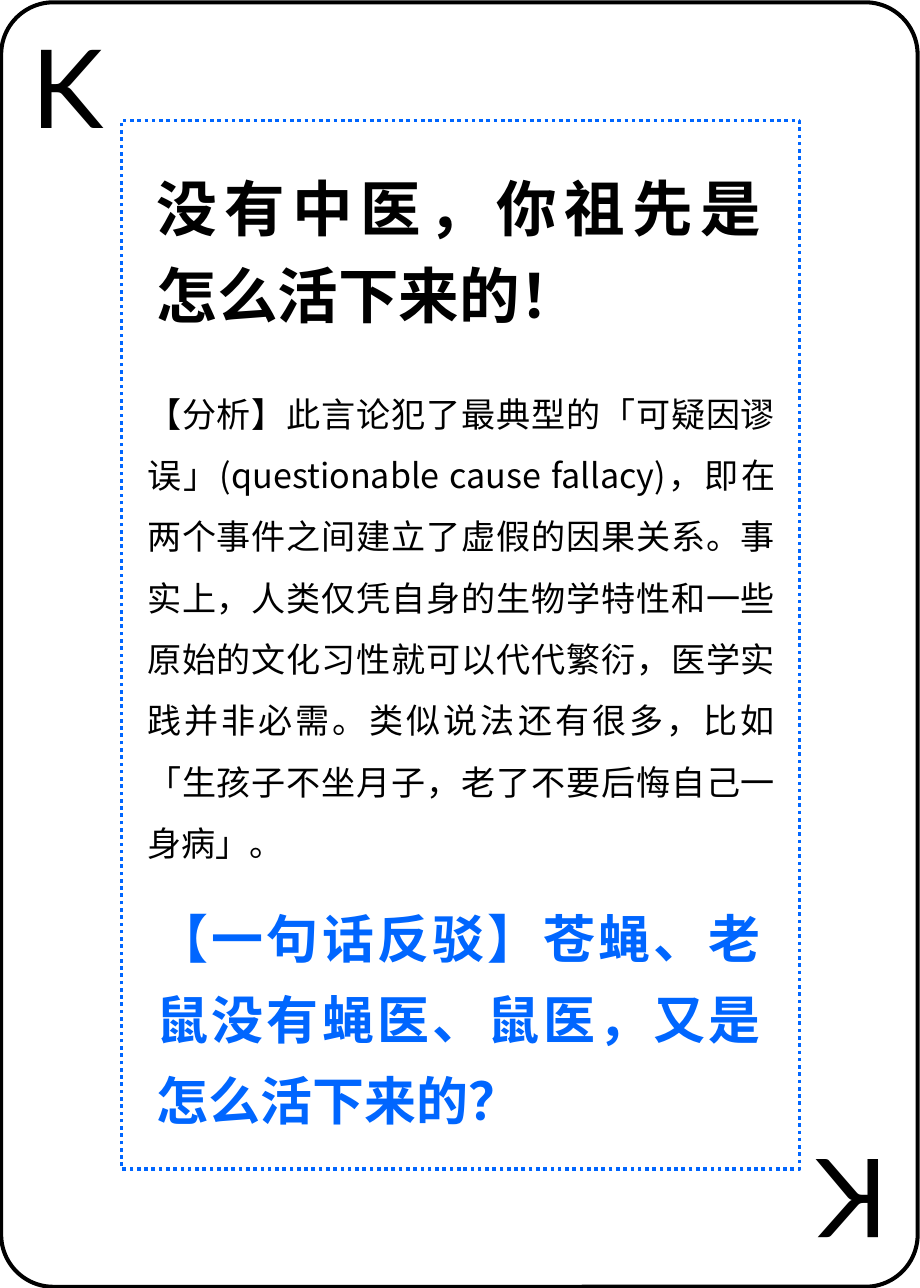
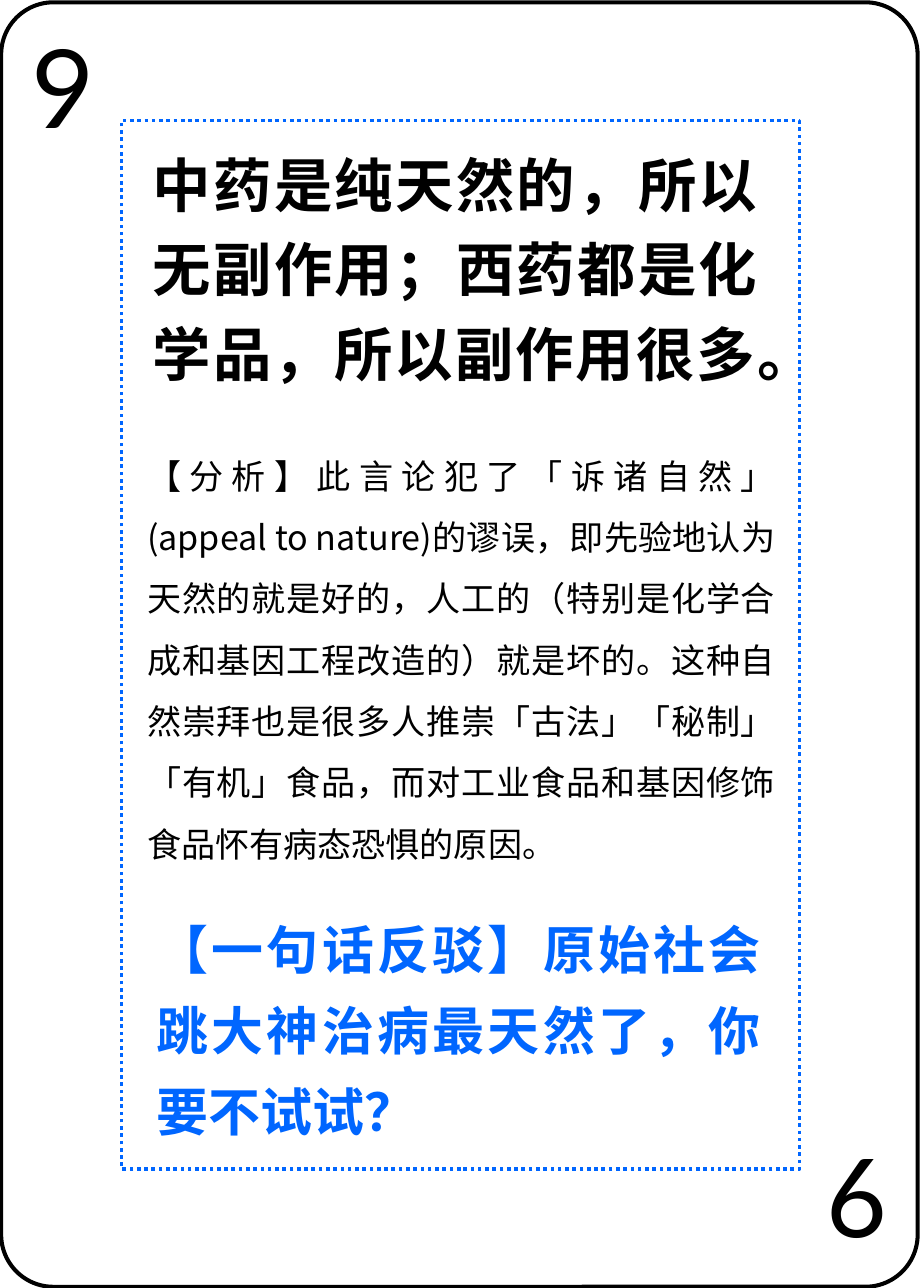
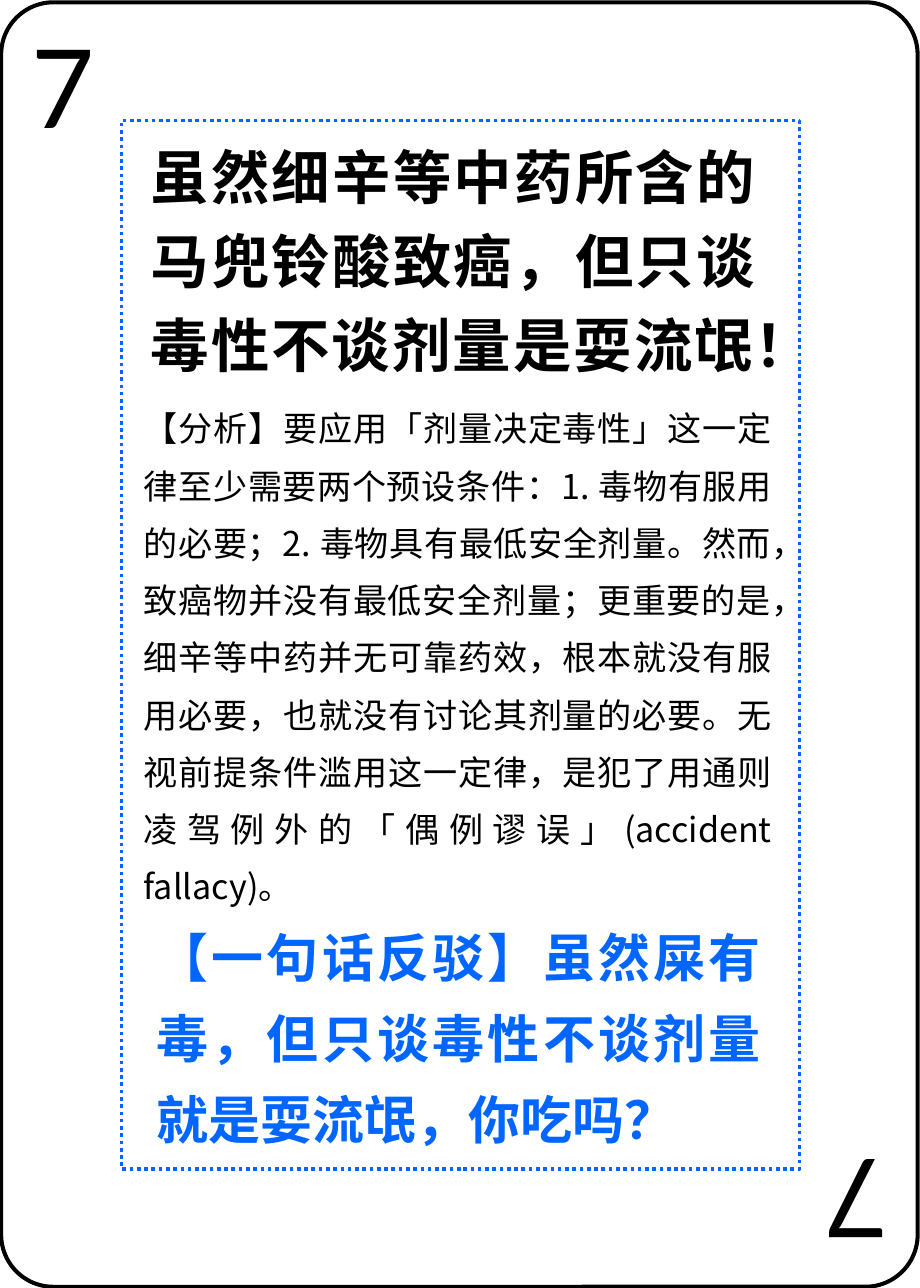
"""Build three playing cards, each rebutting one claim about traditional medicine."""
import dataclasses

import lxml.etree
import pptx
import pptx.dml.color
import pptx.enum.dml
import pptx.enum.shapes
import pptx.enum.text
import pptx.oxml.ns
import pptx.util


@dataclasses.dataclass(frozen=True)
class Theme:
    ink: str = "000000"
    accent: str = "0066FF"
    rank_font: str = "Lato"
    text_font: str = "Noto Sans CJK SC"
    rank_size: float = 67.2
    title_size: float = 36
    body_size: float = 21
    rebuttal_size: float = 32
    card_line: float = 2.5
    frame_line: float = 2.25


THEME = Theme()
WIDTH, HEIGHT = 7.87, 11.02
GRID = 100
RANK_BOX = (2.16, 1.09, 9.66, 11.16)
FRAME_BOX = (13.21, 9.35, 73.7, 81.4)
CARD_BOX = (0.13, 0.18, 99.62, 99.73)
TITLE_COLS, BODY_COLS = 68.23, 70.78
REBUTTAL_COL, REBUTTAL_ROWS = 15.76, 19.33
CORNER = 0.057

CARDS = [
    dict(
        rank="K",
        title="没有中医，你祖先是怎么活下来的！",
        title_box=(15.76, 11.71, TITLE_COLS, 14.07),
        title_size=37.3,
        body="【分析】此言论犯了最典型的「可疑因谬误」(questionable cause fallacy)，"
             "即在两个事件之间建立了虚假的因果关系。事实上，人类仅凭自身的生物学特性"
             "和一些原始的文化习性就可以代代繁衍，医学实践并非必需。类似说法还有很多，"
             "比如「生孩子不坐月子，老了不要后悔自己一身病」。",
        body_box=(14.74, 28.49, BODY_COLS, 38.84),
        rebuttal="【一句话反驳】苍蝇、老鼠没有蝇医、鼠医，又是怎么活下来的？",
        rebuttal_row=68.51,
    ),
    dict(
        rank="9",
        title="中药是纯天然的，所以无副作用；西药都是化学品，所以副作用很多。",
        title_box=(15.37, 10.07, TITLE_COLS, 20.15),
        body="【分析】此言论犯了「诉诸自然」(appeal to nature)的谬误，即先验地认为天然的"
             "就是好的，人工的（特别是化学合成和基因工程改造的）就是坏的。这种自然崇拜"
             "也是很多人推崇「古法」「秘制」「有机」食品，而对工业食品和基因修饰食品"
             "怀有病态恐惧的原因。",
        body_box=(14.74, 33.3, BODY_COLS, 34.03),
        rebuttal="【一句话反驳】原始社会跳大神治病最天然了，你要不试试？",
        rebuttal_row=69.33,
    ),
    dict(
        rank="7",
        title="虽然细辛等中药所含的马兜铃酸致癌，但只谈毒性不谈剂量是耍流氓！",
        title_box=(15.12, 9.44, TITLE_COLS, 20.15),
        body="【分析】要应用「剂量决定毒性」这一定律至少需要两个预设条件："
             "1. 毒物有服用的必要；2. 毒物具有最低安全剂量。然而，致癌物并没有最低安全剂量；"
             "更重要的是，细辛等中药并无可靠药效，根本就没有服用必要，也就没有讨论其剂量的"
             "必要。无视前提条件滥用这一定律，是犯了用通则凌驾例外的「偶例谬误」"
             "(accident fallacy)。",
        body_box=(14.36, 29.95, BODY_COLS, 40.83),
        body_spacing=1.4,
        rebuttal="【一句话反驳】虽然屎有毒，但只谈毒性不谈剂量就是耍流氓，你吃吗？",
        rebuttal_row=69.96,
    ),
]


def color(value):
    return pptx.dml.color.RGBColor.from_string(value)


def write(tf, text, *, size, font=THEME.text_font, fill=THEME.ink,
          bold=False, spacing=None, justify=True):
    p = tf.paragraphs[0]
    if justify:
        p.alignment = pptx.enum.text.PP_ALIGN.JUSTIFY
    if spacing:
        p.line_spacing = spacing
    r = p.add_run()
    r.text = text
    r.font.name = font
    r.font.size = pptx.util.Pt(size)
    r.font.bold = bold
    r.font.color.rgb = color(fill)
    props = r._r.get_or_add_rPr()
    props.set("lang", "zh-CN")
    ea = lxml.etree.Element(pptx.oxml.ns.qn("a:ea"), typeface=font)
    props.find(pptx.oxml.ns.qn("a:latin")).addnext(ea)


class Deck:
    def __init__(self, theme):
        self.theme = theme
        self.prs = pptx.Presentation()
        self.prs.slide_width = pptx.util.Inches(WIDTH)
        self.prs.slide_height = pptx.util.Inches(HEIGHT)
        self.s = None

    def place(self, box):
        sides = (self.prs.slide_width, self.prs.slide_height) * 2
        return [round(side * units / GRID) for side, units in zip(sides, box)]

    def text(self, text, box, rotation=0, **fmt):
        sp = self.s.shapes.add_textbox(*self.place(box))
        sp.rotation = rotation
        tf = sp.text_frame
        tf.word_wrap = True
        tf.auto_size = pptx.enum.text.MSO_AUTO_SIZE.SHAPE_TO_FIT_TEXT
        write(tf, text, **fmt)

    def outline(self, kind, box, line, width):
        sp = self.s.shapes.add_shape(kind, *self.place(box))
        sp.shadow.inherit = False
        sp.fill.background()
        sp.line.color.rgb = color(line)
        sp.line.width = pptx.util.Pt(width)
        return sp

    def ranks(self, rank):
        x, y, w, h = RANK_BOX
        opposite = (GRID - x - w, GRID - y - h, w, h)
        for box, rotation in ((RANK_BOX, 0), (opposite, 180)):
            self.text(rank, box, rotation, size=self.theme.rank_size,
                      font=self.theme.rank_font, justify=False)

    def frame(self):
        sp = self.outline(pptx.enum.shapes.MSO_SHAPE.RECTANGLE, FRAME_BOX,
                          self.theme.accent, self.theme.frame_line)
        sp.line.dash_style = pptx.enum.dml.MSO_LINE.ROUND_DOT

    def border(self):
        sp = self.outline(pptx.enum.shapes.MSO_SHAPE.ROUNDED_RECTANGLE, CARD_BOX,
                          self.theme.ink, self.theme.card_line)
        sp.adjustments[0] = CORNER

    def card(self, rank, title, title_box, body, body_box, rebuttal, rebuttal_row,
             title_size=THEME.title_size, body_spacing=1.5):
        self.s = self.prs.slides.add_slide(self.prs.slide_layouts[6])
        self.ranks(rank)
        self.text(title, title_box, size=title_size, bold=True, spacing=1.2)
        self.frame()
        self.text(body, body_box, size=self.theme.body_size, spacing=body_spacing)
        self.text(rebuttal, (REBUTTAL_COL, rebuttal_row, TITLE_COLS, REBUTTAL_ROWS),
                  size=self.theme.rebuttal_size, fill=self.theme.accent,
                  bold=True, spacing=1.3)
        self.border()


def main():
    deck = Deck(THEME)
    for card in CARDS:
        deck.card(**card)
    deck.prs.save("out.pptx")


if __name__ == "__main__":
    main()
